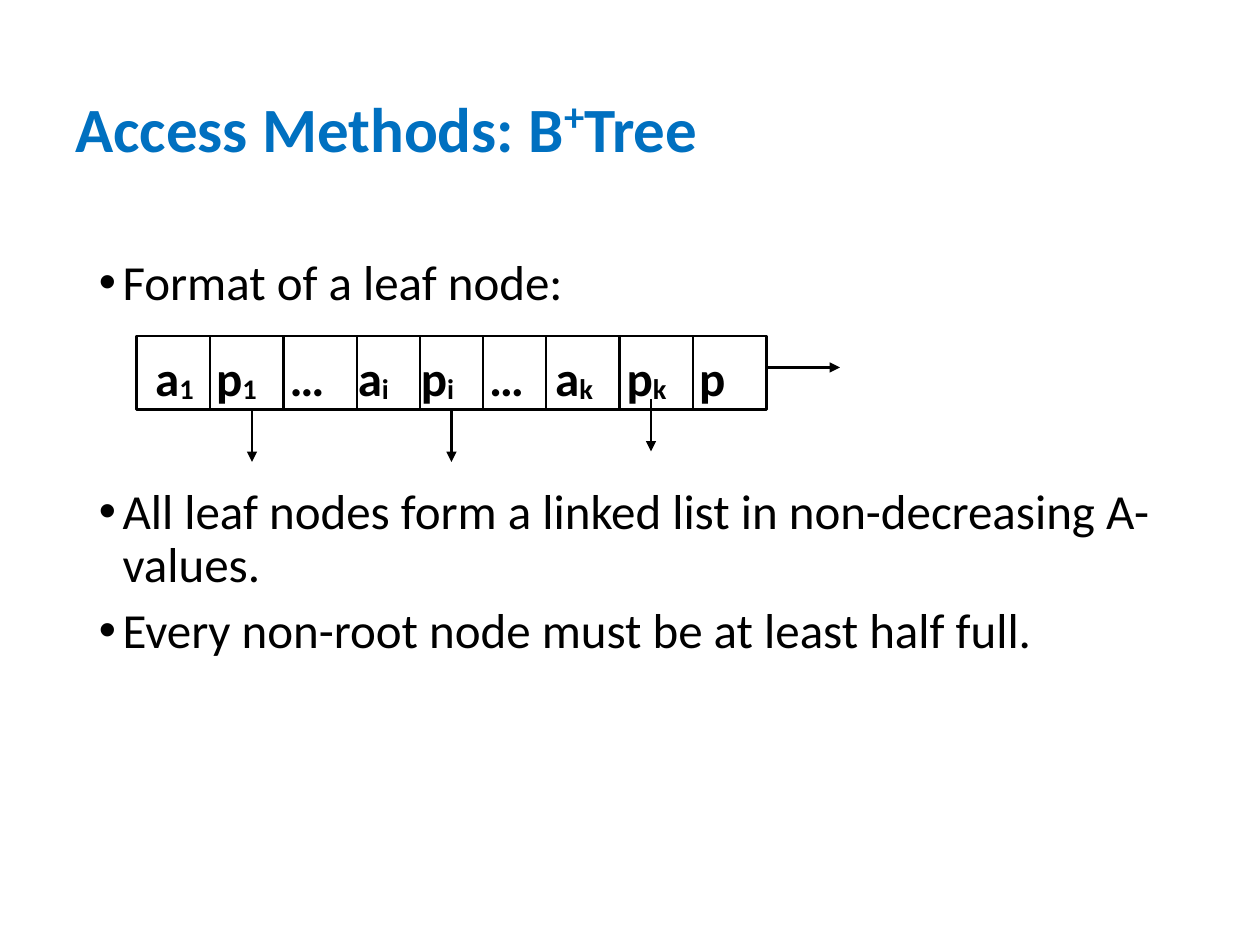
from pptx import Presentation
from pptx import util as u
from pptx.dml.color import RGBColor
from pptx.enum import shapes, text
from pptx.oxml.ns import qn
from lxml import etree

BLACK = RGBColor(0x00, 0x00, 0x00)
BLUE = RGBColor(0x00, 0x70, 0xC0)
COLS, ROWS = 120, 90
INSET, HANG = 1.2, 2.25


def add(root, tag, **attrs):
    return etree.SubElement(root, qn(tag), attrs)


def write(para, parts, size=28, color=BLACK, bold=False, font="Calibri", lead=0.9, before=0):
    para.line_spacing = lead
    para.space_before = u.Pt(before)
    for words, shift, *other in parts:
        run = para.add_run()
        run.text = words
        run.font.name = font
        run.font.size = u.Pt(other[0] if other else size)
        run.font.bold = bold
        run.font.color.rgb = color
        if shift:
            run.font._element.set("baseline", str(shift * 1000))


class Deck:
    def __init__(self, wide=10, high=7.5, weight=1.5):
        self.prs = Presentation()
        self.prs.slide_width, self.prs.slide_height = u.Inches(wide), u.Inches(high)
        self.slide = self.prs.slides.add_slide(self.prs.slide_layouts[6])
        self.weight = u.Pt(weight)

    def x(self, col):
        return round(self.prs.slide_width * col / COLS)

    def y(self, row):
        return round(self.prs.slide_height * row / ROWS)

    def frame(self, col, row, wide, high, anchor=text.MSO_ANCHOR.TOP):
        box = self.slide.shapes.add_textbox(self.x(col), self.y(row), self.x(wide), self.y(high))
        frame = box.text_frame
        frame.word_wrap = True
        frame.vertical_anchor = anchor
        frame.margin_left = frame.margin_right = self.x(INSET)
        return frame

    def bullet(self, para, words, before=7.5):
        write(para, [(words, 0)], before=before)
        props = para._p.get_or_add_pPr()
        props.set("marL", str(self.x(HANG)))
        props.set("indent", str(-self.x(HANG)))
        add(props, "a:buFont", typeface="Arial")
        add(props, "a:buChar", char="•")

    def labels(self, para, names, stops):
        parts = []
        for name, sub in names:
            parts.append(("\t" + name, 0))
            if sub:
                parts.append((sub, -6))
        write(para, parts, bold=True, lead=1.4, before=7.5)
        props = para._p.get_or_add_pPr()
        add(props, "a:buNone")
        tabs = add(props, "a:tabLst")
        for stop in stops:
            add(tabs, "a:tab", pos=str(self.x(stop)), algn="l")

    def box(self, col, row, wide, high):
        box = self.slide.shapes.add_shape(
            shapes.MSO_SHAPE.RECTANGLE, self.x(col), self.y(row), self.x(wide), self.y(high))
        box.shadow.inherit = False
        box.fill.background()
        box.line.color.rgb = BLACK
        box.line.width = self.weight
        return box

    def line(self, start, end, arrow=False):
        line = self.slide.shapes.add_connector(
            shapes.MSO_CONNECTOR.STRAIGHT, self.x(start[0]), self.y(start[1]),
            self.x(end[0]), self.y(end[1]))
        line.line.color.rgb = BLACK
        line.line.width = self.weight
        if arrow:
            add(line.line._get_or_add_ln(), "a:tailEnd", type="triangle")
        add(line._element.spPr, "a:effectLst")
        return line


def main():
    deck = Deck()
    title = deck.frame(6, 3.7, 103.5, 17.4, text.MSO_ANCHOR.MIDDLE)
    write(title.paragraphs[0], [("Access Methods: B", 0), ("+", 30, 40), ("Tree", 0)],
          size=36, color=BLUE, bold=True)

    edges = [13, 20, 27, 34, 40, 46, 52, 59, 66, 73]
    top, base = 32, 39
    left = 8.25
    pads = [1.8, 0.6, 0.6, 0.1, 0.1, 0.6, 0.9, 0.7, 0.6]
    stops = [edge + pad - left - INSET for edge, pad in zip(edges, pads)]
    names = [("a", "1"), ("p", "1"), ("…", ""), ("a", "i"), ("p", "i"), ("…", ""),
             ("a", "k"), ("p", "k"), ("p", "")]

    body = deck.frame(left, 24, 103.5, 57)
    deck.bullet(body.paragraphs[0], "Format of a leaf node:")
    deck.labels(body.add_paragraph(), names, stops)
    deck.bullet(body.add_paragraph(),
                "All leaf nodes form a linked list in non-decreasing A-values.", before=45.8)
    deck.bullet(body.add_paragraph(), "Every non-root node must be at least half full.")

    node = deck.box(edges[0], top, edges[-1] - edges[0], base - top)
    for edge in edges[1:-1]:
        deck.line((edge, top), (edge, base))
    for col, row in [(24, base), (43, base), (62, base - 1)]:
        arrow = deck.line((col, row), (col, row + 5), arrow=True)
        if (col, row) == ((edges[0] + edges[-1]) / 2, base):
            arrow.begin_connect(node, 2)
    deck.line((edges[-1], 35), (80, 35), arrow=True)
    deck.prs.save("out.pptx")


if __name__ == "__main__":
    main()
